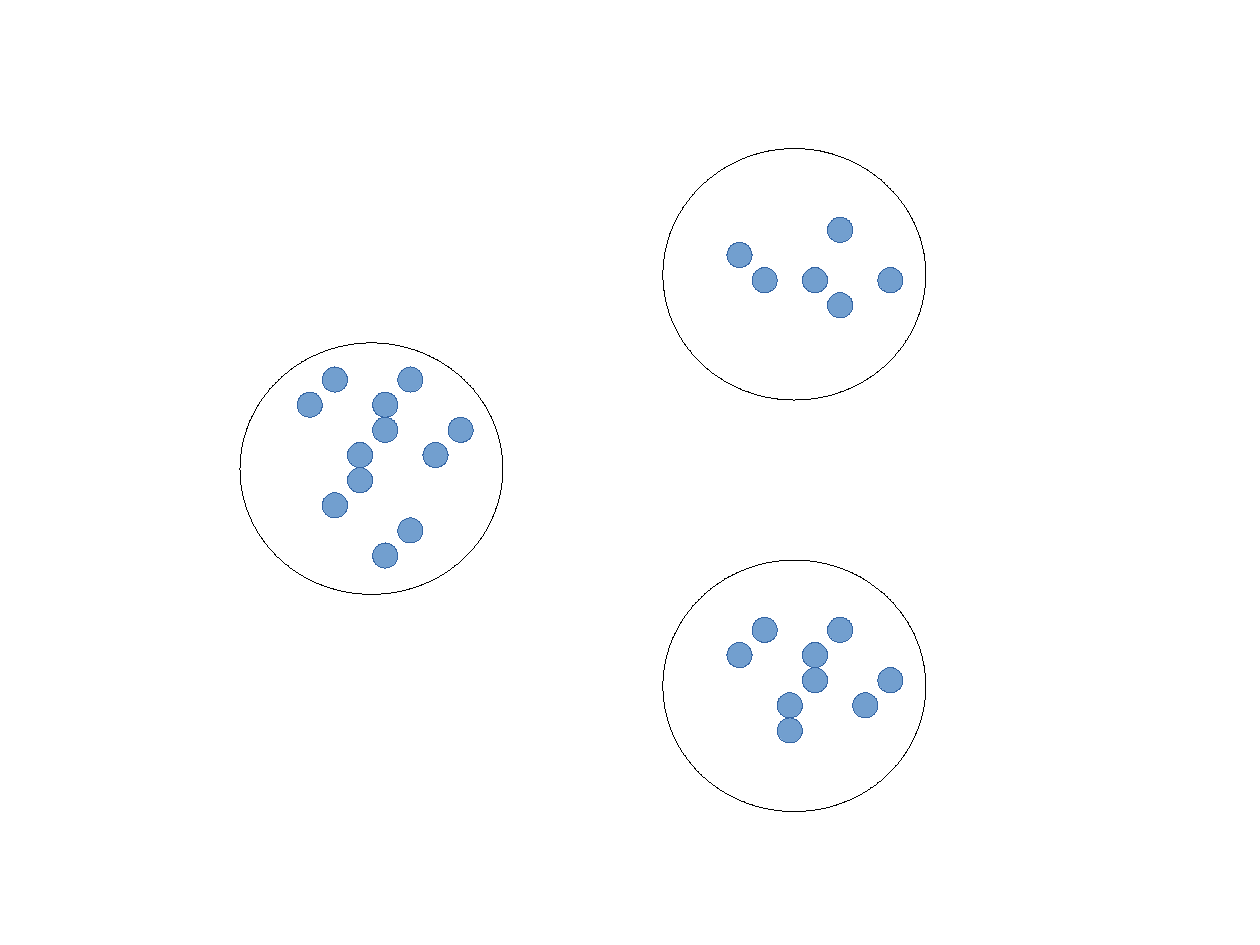
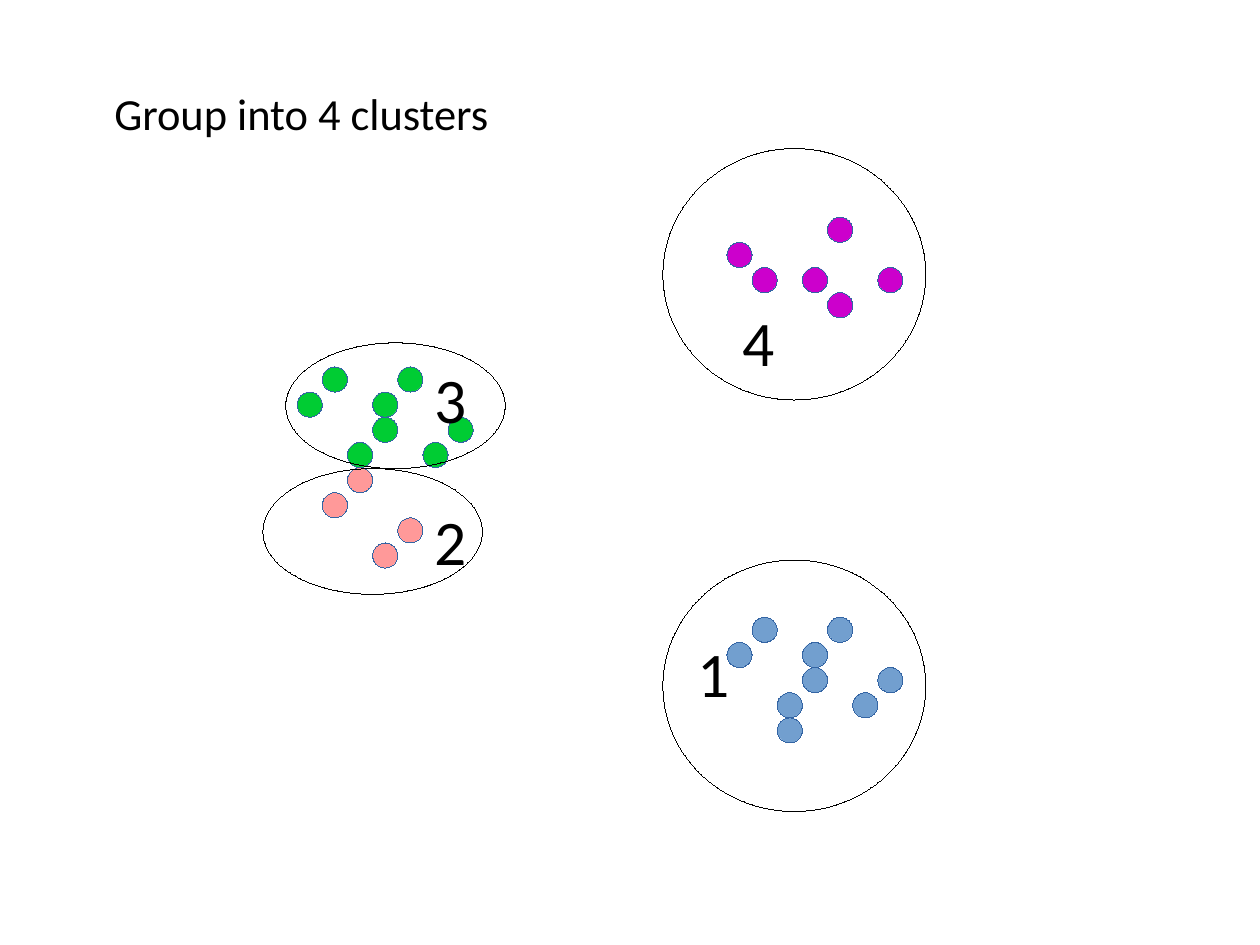
from dataclasses import dataclass

from pptx import Presentation
from pptx.dml.color import RGBColor
from pptx.enum.shapes import MSO_SHAPE
from pptx.enum.text import MSO_ANCHOR, MSO_AUTO_SIZE, PP_ALIGN
from pptx.util import Inches, Pt


@dataclass(frozen=True)
class Theme:
    font: str = "Calibri"
    title_size: int = 28
    number_size: int = 40
    text: str = "000000"
    ring: str = "000000"
    dot_line: str = "3465A4"
    blue: str = "729FCF"
    pink: str = "FF9999"
    green: str = "00CC33"
    purple: str = "CC00CC"
    hairline: float = 0.01


THEME = Theme()
CM_PER_INCH = 2.54
SLIDE_SIZE = (28 / CM_PER_INCH, 21 / CM_PER_INCH)
DOT = 0.22  # dot diameter, also the grid step
NUMBER_SIZE = (1.1, 0.86)

# Point groups: grid origin (left, top) and (column, row) of each dot
POINTS = {
    "left upper": ((2.6, 3.21), [(4, 0), (6, 2), (1, 0), (3, 2), (3, 1), (5, 3), (0, 1), (2, 3)]),
    "left lower": ((2.6, 3.21), [(2, 4), (4, 6), (1, 5), (3, 7)]),
    "right top": ((6.36, 1.9), [(4, 0), (1, 2), (6, 2), (4, 3), (0, 1), (3, 2)]),
    "right bottom": ((6.36, 5.4), [(4, 0), (2, 4), (6, 2), (1, 0), (3, 2), (3, 1),
                                   (5, 3), (0, 1), (2, 3)]),
}

RIGHT_RINGS = [(5.8, 1.3, 2.3, 2.2), (5.8, 4.9, 2.3, 2.2)]

SLIDES = [
    {
        "title": None,
        "colours": dict.fromkeys(POINTS, THEME.blue),
        "rings": [(2.1, 3, 2.3, 2.2), *RIGHT_RINGS],
        "numbers": [],
    },
    {
        "title": ("Group into 4 clusters", (0.9, 0.7, 4.2, 0.63)),
        "colours": {"left upper": THEME.green, "left lower": THEME.pink,
                    "right top": THEME.purple, "right bottom": THEME.blue},
        "rings": [(2.5, 3, 1.92, 1.1), (2.3, 4.1, 1.92, 1.1), *RIGHT_RINGS],
        "numbers": [("1", 6, 5.5), ("2", 3.7, 4.34), ("3", 3.7, 3.1), ("4", 6.4, 2.6)],
    },
]


def add_ellipse(slide, box, line_colour, fill_colour=None):
    shape = slide.shapes.add_shape(MSO_SHAPE.OVAL, *map(Inches, box))
    shape.shadow.inherit = False
    if fill_colour:
        shape.fill.solid()
        shape.fill.fore_color.rgb = RGBColor.from_string(fill_colour)
    else:
        shape.fill.background()
    shape.line.color.rgb = RGBColor.from_string(line_colour)
    shape.line.width = Pt(THEME.hairline)


def write_text(shape, text, size):
    frame = shape.text_frame
    frame.text = text
    frame_format = {
        "word_wrap": True, "auto_size": MSO_AUTO_SIZE.NONE, "vertical_anchor": MSO_ANCHOR.TOP,
        "margin_left": Inches(0.1), "margin_right": Inches(0.1),
        "margin_top": Inches(0.05), "margin_bottom": Inches(0.05),
    }
    for name, value in frame_format.items():
        setattr(frame, name, value)
    paragraph = frame.paragraphs[0]
    paragraph.alignment = PP_ALIGN.LEFT
    font = paragraph.runs[0].font
    for name, value in {"name": THEME.font, "size": Pt(size)}.items():
        setattr(font, name, value)
    font.color.rgb = RGBColor.from_string(THEME.text)


def add_title(slide, text, box):
    title = slide.shapes.title
    for name, value in zip(("left", "top", "width", "height"), box):
        setattr(title, name, Inches(value))
    write_text(title, text, THEME.title_size)


def build_slide(presentation, content):
    # Title Only layout when there is a title, Blank otherwise
    layout = presentation.slide_layouts[5 if content["title"] else 6]
    slide = presentation.slides.add_slide(layout)
    if content["title"]:
        add_title(slide, *content["title"])

    # Dots on their grids
    for group, ((left, top), cells) in POINTS.items():
        for column, row in cells:
            box = (left + column * DOT, top + row * DOT, DOT, DOT)
            add_ellipse(slide, box, THEME.dot_line, content["colours"][group])

    # Cluster outlines and numbers
    for box in content["rings"]:
        add_ellipse(slide, box, THEME.ring)
    for number, left, top in content["numbers"]:
        text_box = slide.shapes.add_textbox(*map(Inches, (left, top, *NUMBER_SIZE)))
        write_text(text_box, number, THEME.number_size)


def main():
    presentation = Presentation()
    presentation.slide_width, presentation.slide_height = map(Inches, SLIDE_SIZE)
    for content in SLIDES:
        build_slide(presentation, content)
    presentation.save("out.pptx")


if __name__ == "__main__":
    main()
